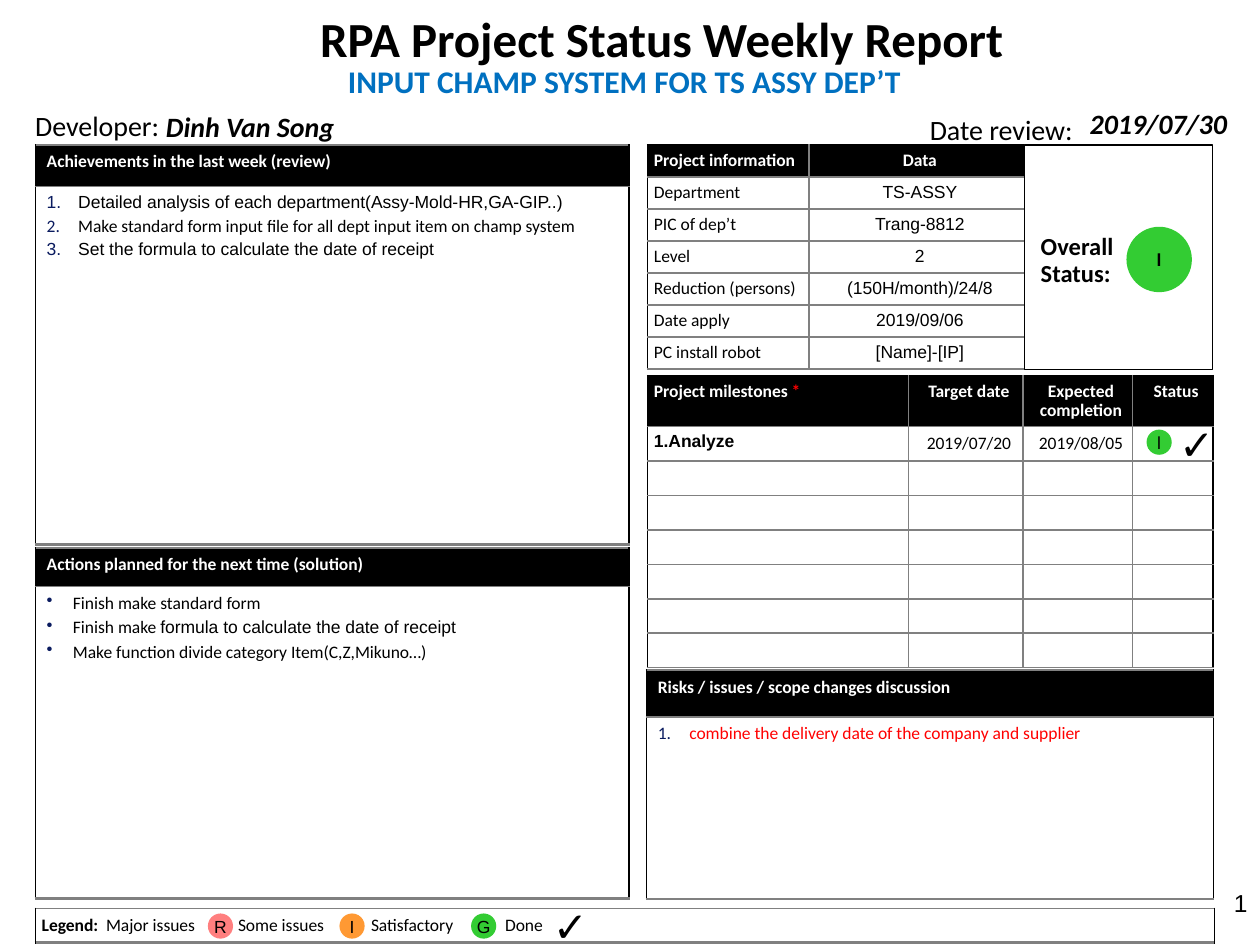
"""Build a one-page weekly status report for an automation project."""
from lxml import etree
from pptx import Presentation
from pptx.dml.color import RGBColor
from pptx.enum.shapes import MSO_SHAPE
from pptx.enum.text import MSO_ANCHOR, MSO_AUTO_SIZE, PP_ALIGN
from pptx.oxml.ns import qn
from pptx.util import Pt

LEFT, CENTER, RIGHT = PP_ALIGN.LEFT, PP_ALIGN.CENTER, PP_ALIGN.RIGHT
TOP, MIDDLE = MSO_ANCHOR.TOP, MSO_ANCHOR.MIDDLE
NO_FIT = MSO_AUTO_SIZE.NONE
OVAL, RECTANGLE = MSO_SHAPE.OVAL, MSO_SHAPE.RECTANGLE
TITLE_ONLY = 5
COLORS = {
    "black": "000000", "white": "FFFFFF", "grey": "808080", "blue": "0070C0",
    "navy": "0A1B5F", "red": "FF0000", "orange": "FF9933", "green": "33CC33",
}


def add_span(para, text, *, size=10, font="Calibri", color="black", bold=False, italic=False):
    span = para.add_run()
    span.text = text
    span.font.size = Pt(size)
    span.font.name = font
    span.font.bold = bold
    span.font.italic = italic
    span.font.color.rgb = RGBColor.from_string(COLORS[color])


def add_xml(parent, tag, **attributes):
    return etree.SubElement(parent, qn(tag), attributes)


def set_insets(target, left, top, right, bottom):
    target.margin_left, target.margin_top = Pt(left), Pt(top)
    target.margin_right, target.margin_bottom = Pt(right), Pt(bottom)


class Report:
    def __init__(self, deck):
        self.page = deck.slides.add_slide(deck.slide_layouts[TITLE_ONLY])

    def title(self, left, top, width, height, text, **style):
        box = self.page.shapes.title
        box.left, box.top, box.width, box.height = Pt(left), Pt(top), Pt(width), Pt(height)
        self.fill_box(box, text, **style)

    def label(self, left, top, width, height, text, **style):
        box = self.page.shapes.add_textbox(Pt(left), Pt(top), Pt(width), Pt(height))
        self.fill_box(box, text, **style)

    def fill_box(self, box, text, align=LEFT, insets=(7.2, 3.6, 7.2, 3.6), spacing=1.0, **style):
        frame = box.text_frame
        frame.word_wrap = True
        frame.auto_size = NO_FIT
        frame.vertical_anchor = TOP
        set_insets(frame, *insets)
        para = frame.paragraphs[0]
        para.alignment = align
        para.line_spacing = spacing
        add_span(para, text, **style)

    def frame(self, left, top, width, height):
        box = self.page.shapes.add_shape(RECTANGLE, Pt(left), Pt(top), Pt(width), Pt(height))
        box.shadow.inherit = False
        box.fill.background()
        box.line.color.rgb = RGBColor.from_string(COLORS["black"])
        box.line.width = Pt(0.75)

    def light(self, left, top, size, letter, color, opacity=100, bold=False):
        circle = self.page.shapes.add_shape(OVAL, Pt(left), Pt(top), Pt(size), Pt(size))
        circle.shadow.inherit = False
        circle.line.fill.background()
        circle.fill.solid()
        circle.fill.fore_color.rgb = RGBColor.from_string(COLORS[color])
        if opacity < 100:
            tone = circle.fill._xPr.find(qn("a:solidFill"))[0]
            add_xml(tone, "a:alpha", val=str(opacity * 1000))
        frame = circle.text_frame
        frame.word_wrap = False
        frame.vertical_anchor = MIDDLE
        set_insets(frame, 0, 0, 0, 0)
        frame.paragraphs[0].alignment = CENTER
        add_span(frame.paragraphs[0], letter, font="Arial", bold=bold)

    def check(self, left, top):
        self.label(left, top, 23.5, 33, "✓", size=24, spacing=0.9)

    def grid(self, left, top, widths, heights):
        holder = self.page.shapes.add_table(len(heights), len(widths), Pt(left), Pt(top),
                                            Pt(sum(widths)), Pt(sum(heights)))
        table = holder.table
        table.first_row = table.horz_banding = False
        for column, width in zip(table.columns, widths):
            column.width = Pt(width)
        for row, height in zip(table.rows, heights):
            row.height = Pt(height)
        return table

    def cell(self, cell, fill="white", edges=("black", "black", "grey", "grey"),
             insets=(3.6, 3.6, 0, 3.6), anchor=TOP, align=LEFT, bottom=1):
        set_insets(cell, *insets)
        cell.vertical_anchor = anchor
        properties = cell._tc.get_or_add_tcPr()
        for side, color in zip("LRTB", edges):
            width = bottom if side == "B" else 1
            line = add_xml(properties, f"a:ln{side}", w=str(int(Pt(width))))
            add_xml(add_xml(line, "a:solidFill"), "a:srgbClr", val=COLORS[color])
        cell.fill.solid()
        cell.fill.fore_color.rgb = RGBColor.from_string(COLORS[fill])
        para = cell.text_frame.paragraphs[0]
        para.alignment = align
        para.line_spacing = 0.9
        return para

    def data_table(self, left, top, widths, heights, rows, right_edge, key_style):
        table = self.grid(left, top, widths, heights)
        last = len(widths) - 1
        for r, texts in enumerate(rows):
            for c, text in enumerate(texts):
                heading = r == 0
                edges = ("grey" if c else "black", right_edge if c == last else "grey",
                         "black" if heading else "grey", "grey")
                para = self.cell(table.cell(r, c), "black" if heading else "white", edges,
                                 anchor=MIDDLE if c and not heading else TOP,
                                 align=CENTER if c else LEFT)
                if heading:
                    add_span(para, text, color="white", bold=True)
                elif text:
                    add_span(para, text, **key_style[min(c, 1)])
                else:
                    add_xml(para._p, "a:endParaRPr", sz="1000")
        return table

    def panel(self, left, top, width, heights, heading, items, indent, numbered):
        table = self.grid(left, top, [width], heights)
        insets = (6.5, 4.3, 6.5, 4.3)
        add_span(self.cell(table.cell(0, 0), "black", insets=insets), heading,
                 color="white", bold=True)
        body = table.cell(1, 0)
        para = self.cell(body, insets=insets, bottom=1.5)
        for number, spans in enumerate(items):
            if number:
                para = body.text_frame.add_paragraph()
                para.line_spacing = 0.9
                para.space_before = Pt(3)
            self.bullet(para, indent, numbered)
            for text, style in spans:
                add_span(para, text, **style)

    def bullet(self, para, indent, numbered):
        properties = para._p.get_or_add_pPr()
        properties.set("marL", str(int(Pt(indent))))
        properties.set("indent", str(-int(Pt(indent))))
        add_xml(add_xml(properties, "a:buClr"), "a:srgbClr", val=COLORS["navy"])
        if numbered:
            add_xml(properties, "a:buAutoNum", type="arabicPeriod")
        else:
            add_xml(properties, "a:buChar", char="•")

    def legend(self, left, top, width, height, heading, entries, stops):
        table = self.grid(left, top, [width], [height])
        para = self.cell(table.cell(0, 0), insets=(3.6, 4.3, 3.6, 4.3), bottom=1.5)
        tabs = add_xml(para._p.get_or_add_pPr(), "a:tabLst")
        for stop in stops:
            add_xml(tabs, "a:tab", pos=str(int(Pt(stop))), algn="l")
        add_span(para, heading, bold=True)
        add_span(para, "".join("\t" + entry for entry in entries))


def main():
    deck = Presentation()
    deck.slide_width, deck.slide_height = Pt(720), Pt(540)
    report = Report(deck)
    plain, arial = {}, {"font": "Arial"}
    strong = {"size": 16, "bold": True, "italic": True}

    report.title(175.7, 1.4, 425.5, 33.1, "RPA Project Status Weekly Report", size=28, bold=True)
    report.label(20.2, 31.7, 673.2, 28.1, "INPUT CHAMP SYSTEM FOR TS ASSY DEP’T",
                 align=CENTER, size=18, color="blue", bold=True)
    report.label(13, 58.3, 106.6, 28.1, "Developer:", size=16)
    report.label(87.8, 59, 232.6, 28.1, "Dinh Van Song", **strong)
    report.label(524.2, 60.5, 106.6, 28.1, "Date review:", size=16)
    report.label(615.6, 57.6, 106.6, 28.1, "2019/07/30", **strong)
    report.label(680.4, 504, 39.6, 36, "1", align=RIGHT, size=14, font="Arial")

    report.panel(20.2, 82.8, 339.1, [23.8, 204.5], "Achievements in the last week (review)", [
        [("Detailed analysis of each department(Assy-Mold-HR,GA-GIP..)", arial)],
        [("Make standard form input file for all dept input item on champ system", plain)],
        [("Set the formula to calculate the date of receipt", arial)],
    ], 18, True)
    report.panel(20.2, 313.2, 339.1, [22, 178.2], "Actions planned for the next time (solution)", [
        [("Finish make standard form", plain)],
        [("Finish make ", plain), ("formula to calculate the date of receipt", arial)],
        [("Make function divide category Item(C,Z,Mikuno…)", plain)],
    ], 15, False)
    report.panel(369.4, 383, 324, [26.6, 104], "Risks / issues / scope changes discussion", [
        [("combine the delivery date of the company and supplier", {"color": "red"})],
    ], 18, True)

    report.data_table(370.1, 82.8, [92.2, 123.1], [18.3] * 7, [
        ("Project information", "Data"),
        ("Department", "TS-ASSY"),
        ("PIC of dep’t", "Trang-8812"),
        ("Level", "2"),
        ("Reduction (persons)", "(150H/month)/24/8"),
        ("Date apply", "2019/09/06"),
        ("PC install robot", "[Name]-[IP]"),
    ], "grey", (plain, arial))
    milestones = report.data_table(370.1, 214.6, [149, 65.5, 62.6, 46.1], [29.2] + [19.7] * 7, [
        ("Project milestones ", "Target date", "Expected completion", "Status"),
        ("1.Analyze", "2019/07/20", "2019/08/05", ""),
    ] + [("",) * 4] * 6, "black", ({"font": "Arial", "bold": True}, plain))
    add_span(milestones.cell(0, 0).text_frame.paragraphs[0], "*", color="red", bold=True)
    report.light(655.2, 245.5, 14.4, "l", "green")
    report.check(666.7, 239)

    report.frame(585.4, 82.8, 107.3, 128.2)
    report.label(594.7, 133.9, 48.2, 22.3, "Overall Status:", insets=(0, 0, 0, 0),
                 spacing=0.9, size=14, bold=True)
    report.light(643.7, 129.6, 37.4, "l", "green", bold=True)

    report.legend(20.2, 519.1, 673.9, 19.4, "Legend:",
                  ["Major issues", "Some issues", "Satisfactory", "Done"],
                  [36.8, 112.2, 188.2, 264.8])
    lights = [("R", "red", 50), ("I", "orange", 100), ("G", "green", 100)]
    for number, (letter, color, opacity) in enumerate(lights):
        report.light(118.8 + 75.2 * number, 522, 14.4, letter, color, opacity)
    report.check(308.9, 514.1)

    deck.save("out.pptx")


if __name__ == "__main__":
    main()
